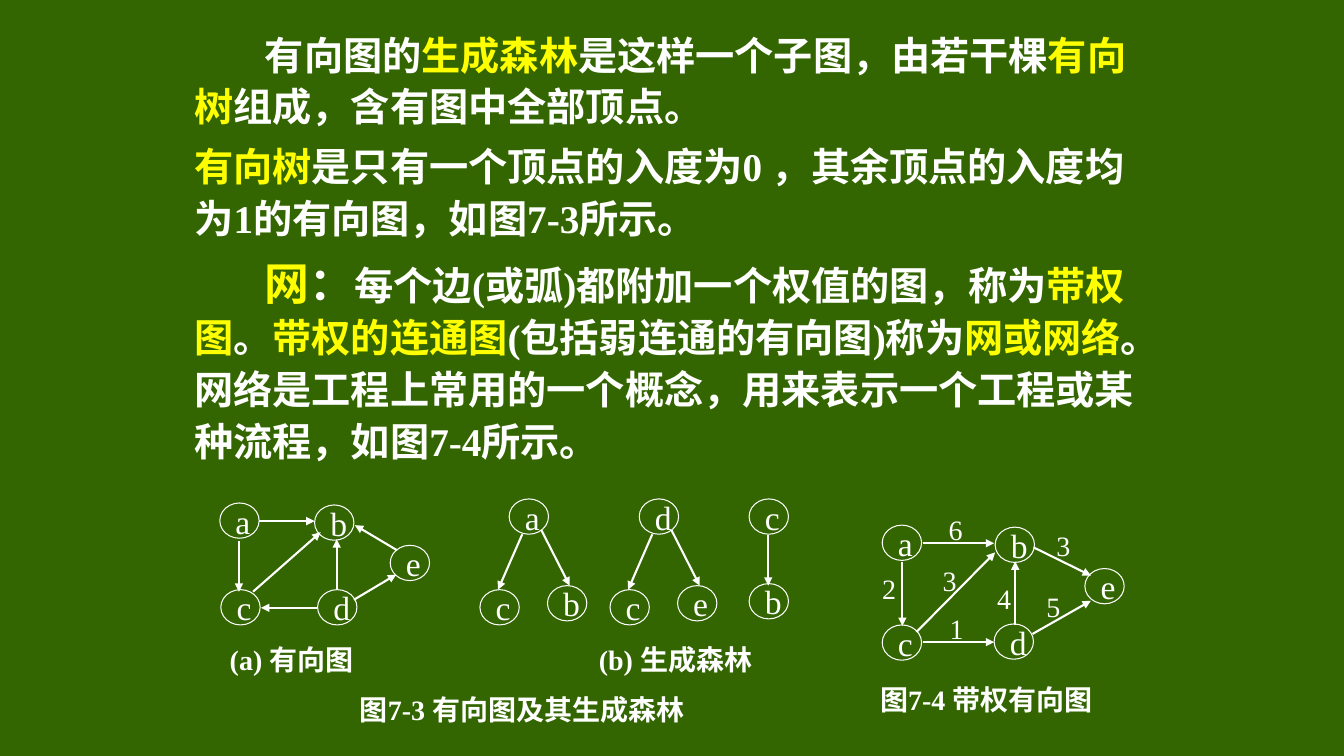
"""Build the slide on spanning forests and weighted networks."""
from typing import NamedTuple

from pptx import Presentation, util as u
from pptx.dml import color
from pptx.enum import shapes, text
from pptx.oxml import ns
from lxml import etree

PX = 9144
FONT = "Times New Roman"
COLORS = {"board": "336600", "chalk": "FFFFFF", "key": "FFFF00"}
NODE_W, NODE_H = 39, 35
LABEL_SIZE = 31
CAPTION_H = 35


class Node(NamedTuple):
    name: str
    x: int
    y: int


class Edge(NamedTuple):
    x1: int
    y1: int
    x2: int
    y2: int


class Label(NamedTuple):
    words: str
    x: int
    y: int
    w: int = LABEL_SIZE
    h: int = LABEL_SIZE
    bold: bool = False


class Span(NamedTuple):
    words: str
    color: str = "chalk"
    size: int = 28


class Para(NamedTuple):
    indent: int
    spans: list[Span]


class Tree(NamedTuple):
    x: int
    root: str
    left: str
    right: str


BODY = [
    Para(70, [
        Span("有向图的"), Span("生成森林", "key"),
        Span("是这样一个子图，由若干棵"), Span("有向树", "key"),
        Span("组成，含有图中全部顶点。"),
    ]),
    Para(0, [
        Span("有向树", "key"),
        Span("是只有一个顶点的入度为0 ，其余顶点的入度均为1的有向图，如图7-3所示。"),
    ]),
    Para(70, [
        Span("网", "key", 32), Span("：", size=32),
        Span("每个边(或弧)都附加一个权值的图，称为"),
        Span("带权图", "key"), Span("。"), Span("带权的连通图", "key"),
        Span("(包括弱连通的有向图)称为"), Span("网或网络", "key"),
        Span("。网络是工程上常用的一个概念，用来表示一个工程或某种流程，如图7-4所示。"),
    ]),
]

DIGRAPH_NODES = [
    Node("a", 218, 499), Node("b", 312, 501), Node("c", 219, 585),
    Node("d", 315, 585), Node("e", 387, 541),
]
DIGRAPH_EDGES = [
    Edge(237, 537, 237, 587), Edge(334, 585, 334, 535),
    Edge(257, 517, 312, 517), Edge(314, 603, 259, 603),
    Edge(251, 587, 318, 528), Edge(351, 595, 393, 570),
    Edge(394, 546, 352, 521),
]

TREES = [Tree(476, "a", "c", "b"), Tree(605, "d", "c", "e")]
CHAIN_NODES = [Node("c", 743, 495), Node("b", 743, 579)]
CHAIN_EDGES = [Edge(762, 531, 762, 581)]

NETWORK_NODES = [
    Node("a", 875, 521), Node("b", 987, 523), Node("c", 875, 620),
    Node("d", 986, 619), Node("e", 1076, 564),
]
NETWORK_EDGES = [
    Edge(895, 558, 895, 621), Edge(1007, 620, 1007, 557),
    Edge(915, 539, 986, 539), Edge(915, 637, 986, 637),
    Edge(909, 627, 987, 548), Edge(1024, 629, 1082, 596),
    Edge(1025, 543, 1082, 571),
]
WEIGHTS = [
    Label("3", 1038, 525), Label("5", 1028, 586), Label("4", 979, 578),
    Label("1", 932, 608), Label("2", 865, 568), Label("6", 931, 510),
    Label("3", 925, 560),
]

CAPTIONS = [
    Label("(a) 有向图", 218, 637, 180, CAPTION_H, True),
    Label("(b) 生成森林", 584, 637, 215, CAPTION_H, True),
    Label("图7-3 有向图及其生成森林", 347, 686, 390, CAPTION_H, True),
    Label("图7-4 带权有向图", 863, 676, 275, CAPTION_H, True),
]


def rgb(name: str) -> color.RGBColor:
    """Look up a colour by its name."""
    return color.RGBColor.from_string(COLORS[name])


def add_run(p, words: str, size: int, bold: bool = False, tint: str = "chalk") -> None:
    """Add one formatted run to a paragraph."""
    r = p.add_run()
    r.text = words
    r.font.name = FONT
    r.font.size = u.Pt(size)
    r.font.bold = bold
    r.font.color.rgb = rgb(tint)


def add_line_text(sp, words: str, size: int, bold: bool = False) -> None:
    """Put a single unwrapped line in a shape, centred vertically."""
    tf = sp.text_frame
    tf.word_wrap = False
    tf.vertical_anchor = text.MSO_ANCHOR.MIDDLE
    p = tf.paragraphs[0]
    p.alignment = text.PP_ALIGN.LEFT
    add_run(p, words, size, bold)


def draw_body(s, paras: list[Para]) -> None:
    """Draw the explanatory paragraphs."""
    tf = s.shapes.add_textbox(183 * PX, 21 * PX, 967 * PX, 449 * PX).text_frame
    tf.word_wrap = True
    for i, para in enumerate(paras):
        p = tf.add_paragraph() if i else tf.paragraphs[0]
        p.line_spacing = 1.1
        p.space_before = u.Pt(6)
        pPr = p._p.get_or_add_pPr()
        pPr.set("marL", "0")
        pPr.set("indent", str(para.indent * PX))
        for span in para.spans:
            add_run(p, span.words, span.size, True, span.color)


def draw_node(s, node: Node) -> None:
    """Draw a named vertex."""
    sp = s.shapes.add_shape(shapes.MSO_SHAPE.OVAL, node.x * PX, node.y * PX,
                            NODE_W * PX, NODE_H * PX)
    sp.shadow.inherit = False
    sp.fill.background()
    sp.line.color.rgb = rgb("chalk")
    sp.line.width = u.Pt(0.75)
    add_line_text(sp, node.name, 24)


def draw_edge(s, edge: Edge) -> None:
    """Draw an arrow between two points."""
    sp = s.shapes.add_connector(shapes.MSO_CONNECTOR.STRAIGHT, *(v * PX for v in edge))
    sp.line.color.rgb = rgb("chalk")
    sp.line.width = u.Pt(1.5)
    etree.SubElement(sp.line._get_or_add_ln(), ns.qn("a:tailEnd"), type="triangle")
    etree.SubElement(sp._element.spPr, ns.qn("a:effectLst"))


def draw_label(s, label: Label) -> None:
    """Draw a weight or a caption."""
    sp = s.shapes.add_textbox(label.x * PX, label.y * PX, label.w * PX, label.h * PX)
    add_line_text(sp, label.words, 20, label.bold)


def draw_graph(s, nodes: list[Node], edges: list[Edge]) -> None:
    """Draw all vertices and arrows of a graph."""
    for node in nodes:
        draw_node(s, node)
    for edge in edges:
        draw_edge(s, edge)


def draw_tree(s, tree: Tree) -> None:
    """Draw a root with two children."""
    x = tree.x
    draw_graph(
        s,
        [Node(tree.root, x + 29, 495), Node(tree.left, x, 585),
         Node(tree.right, x + 67, 581)],
        [Edge(x + 42, 530, x + 18, 585), Edge(x + 61, 526, x + 89, 581)],
    )


def main() -> None:
    """Build and save the deck."""
    prs = Presentation()
    prs.slide_width, prs.slide_height = 1333 * PX, 750 * PX
    s = prs.slides.add_slide(prs.slide_layouts[6])
    s.background.fill.solid()
    s.background.fill.fore_color.rgb = rgb("board")
    draw_body(s, BODY)
    draw_graph(s, DIGRAPH_NODES, DIGRAPH_EDGES)
    for tree in TREES:
        draw_tree(s, tree)
    draw_graph(s, CHAIN_NODES, CHAIN_EDGES)
    draw_graph(s, NETWORK_NODES, NETWORK_EDGES)
    for label in WEIGHTS + CAPTIONS:
        draw_label(s, label)
    prs.save("out.pptx")


if __name__ == "__main__":
    main()
